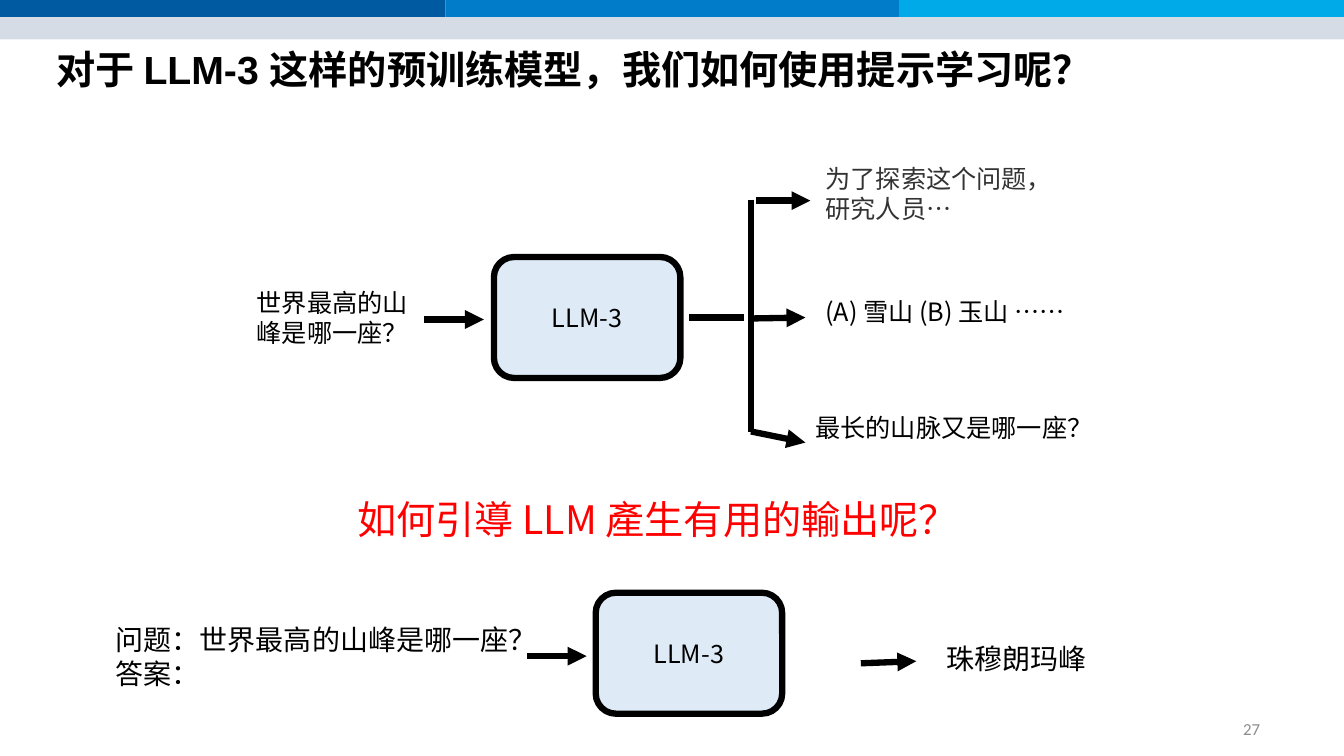
"""Build a slide showing how prompts guide a pretrained model."""
from typing import NamedTuple

import pptx
import pptx.dml.color
import pptx.enum.shapes
import pptx.enum.text
import pptx.util
from pptx.oxml.ns import qn
from lxml import etree

Pt = pptx.util.Pt
ALIGN = pptx.enum.text.PP_ALIGN
ANCHOR = pptx.enum.text.MSO_ANCHOR
AUTO = pptx.enum.text.MSO_AUTO_SIZE
SHAPE = pptx.enum.shapes.MSO_SHAPE
SANS = "Noto Sans CJK SC"
STROKE = 4.5


class Bar(NamedTuple):
    x: float
    y: float
    w: float
    h: float
    color: str


class Label(NamedTuple):
    text: str
    x: float
    y: float
    w: float
    h: float
    font: str = SANS
    size: float = 18
    color: str = "000000"
    align: ALIGN = ALIGN.LEFT
    anchor: ANCHOR = ANCHOR.TOP
    auto: AUTO = AUTO.SHAPE_TO_FIT_TEXT


class Line(NamedTuple):
    x1: float
    y1: float
    x2: float
    y2: float
    arrow: bool = True


BARS = [
    Bar(0, 0, 318.24, 12.24, "005AA2"),
    Bar(318.24, 0, 324, 12.24, "007CC8"),
    Bar(642.24, 0, 317.76, 12.24, "00AAE9"),
    Bar(0, 12.24, 960, 15.84, "D6DCE5"),
]
MODELS = [(352.8, 183.6), (425.5, 423.4)]
LABELS = [
    Label("世界最高的山峰是哪一座？", 171.4, 201.6, 131.8, 51, align=ALIGN.CENTER),
    Label("为了探索这个问题，研究人员…", 582.5, 113, 173.5, 51, color="333333"),
    Label("(A) 雪山 (B) 玉山 ……", 582.5, 208, 237.6, 29),
    Label("最长的山脉又是哪一座？", 575.3, 290.9, 210.2, 51),
    Label("如何引導 LLM 產生有用的輸出呢？", 132.5, 350.6, 674.6, 41,
          size=28, color="FF0000", align=ALIGN.CENTER),
    Label("问题：世界最高的山峰是哪一座？\n答案：", 75.6, 441.4, 540, 55.4, "Calibri", 20),
    Label("珠穆朗玛峰", 668.9, 455, 164.9, 31.7, "Calibri", 20),
    Label("27", 691.2, 506.2, 216, 28.8, "Calibri", 12, "8C8C8C",
          ALIGN.RIGHT, ANCHOR.MIDDLE, AUTO.NONE),
]
LINES = [
    Line(303.1, 228.2, 345.6, 228.2),
    Line(536.4, 142.6, 536.4, 227.5, False),
    Line(536.4, 308.2, 575.3, 316.1),
    Line(536.4, 227.5, 575.3, 226.8),
    Line(540, 143.3, 578.9, 143.3),
    Line(536.4, 223.9, 536.4, 308.9, False),
    Line(492.5, 226.8, 531.4, 226.8, False),
    Line(376.6, 468.7, 419, 468.7),
    Line(614.9, 473.8, 654.5, 472.3),
]


def rgb(value: str) -> pptx.dml.color.RGBColor:
    """Turn a hex string into a colour."""
    return pptx.dml.color.RGBColor.from_string(value)


def assign(obj: object, values: dict) -> None:
    """Set each attribute named in the dict."""
    for name, value in values.items():
        setattr(obj, name, value)


def write(tf, text: str, font: str, size: float, color: str, align: ALIGN, bold: bool = False):
    """Fill a text frame with one formatted paragraph and return it."""
    p = tf.paragraphs[0]
    p.text = text
    p.alignment = align
    for r in p.runs:
        assign(r.font, {"name": font, "size": Pt(size), "bold": bold})
        r.font.color.rgb = rgb(color)
    return p


def add_filled(s, kind: SHAPE, x: float, y: float, w: float, h: float, color: str):
    """Add a flat shape without an outline."""
    sp = s.shapes.add_shape(kind, Pt(x), Pt(y), Pt(w), Pt(h))
    sp.shadow.inherit = False
    sp.fill.solid()
    sp.fill.fore_color.rgb = rgb(color)
    sp.line.fill.background()
    return sp


def add_model(s, x: float, y: float) -> None:
    """Add a rounded box for the language model."""
    sp = add_filled(s, SHAPE.ROUNDED_RECTANGLE, x, y, 133.2, 86.4, "DEEBF7")
    sp.line.color.rgb = rgb("000000")
    sp.line.width = Pt(STROKE)
    sp.text_frame.vertical_anchor = ANCHOR.MIDDLE
    write(sp.text_frame, "LLM-3", SANS, 18, "000000", ALIGN.CENTER)


def add_label(s, label: Label) -> None:
    """Add a wrapped text box."""
    sp = s.shapes.add_textbox(Pt(label.x), Pt(label.y), Pt(label.w), Pt(label.h))
    tf = sp.text_frame
    assign(tf, {"word_wrap": True, "auto_size": label.auto, "vertical_anchor": label.anchor})
    write(tf, label.text, label.font, label.size, label.color, label.align)


def add_line(s, line: Line) -> None:
    """Add a straight connector, with an arrowhead if asked."""
    sp = s.shapes.add_connector(pptx.enum.shapes.MSO_CONNECTOR.STRAIGHT,
                                Pt(line.x1), Pt(line.y1), Pt(line.x2), Pt(line.y2))
    sp.line.color.rgb = rgb("000000")
    sp.line.width = Pt(STROKE)
    sp_pr = sp.element.spPr
    if line.arrow:
        etree.SubElement(sp_pr.find(qn("a:ln")), qn("a:tailEnd"), type="triangle")
    etree.SubElement(sp_pr, qn("a:effectLst"))


def add_title(s) -> None:
    """Place and format the title."""
    sp = s.shapes.title
    assign(sp, {"left": Pt(33.1), "top": Pt(32.4), "width": Pt(874.1), "height": Pt(47.5)})
    assign(sp.text_frame, {"word_wrap": True, "auto_size": AUTO.NONE,
                           "vertical_anchor": ANCHOR.TOP})
    p = write(sp.text_frame, "对于 LLM-3 这样的预训练模型，我们如何使用提示学习呢？",
              "Arial", 28, "000000", ALIGN.LEFT, True)
    p.line_spacing = 0.9


def main() -> None:
    """Build and save the presentation."""
    prs = pptx.Presentation()
    assign(prs, {"slide_width": Pt(960), "slide_height": Pt(540)})
    s = prs.slides.add_slide(prs.slide_layouts[5])
    for bar in BARS:
        add_filled(s, SHAPE.RECTANGLE, *bar)
    add_title(s)
    for x, y in MODELS:
        add_model(s, x, y)
    for label in LABELS:
        add_label(s, label)
    for line in LINES:
        add_line(s, line)
    prs.save("out.pptx")


if __name__ == "__main__":
    main()
